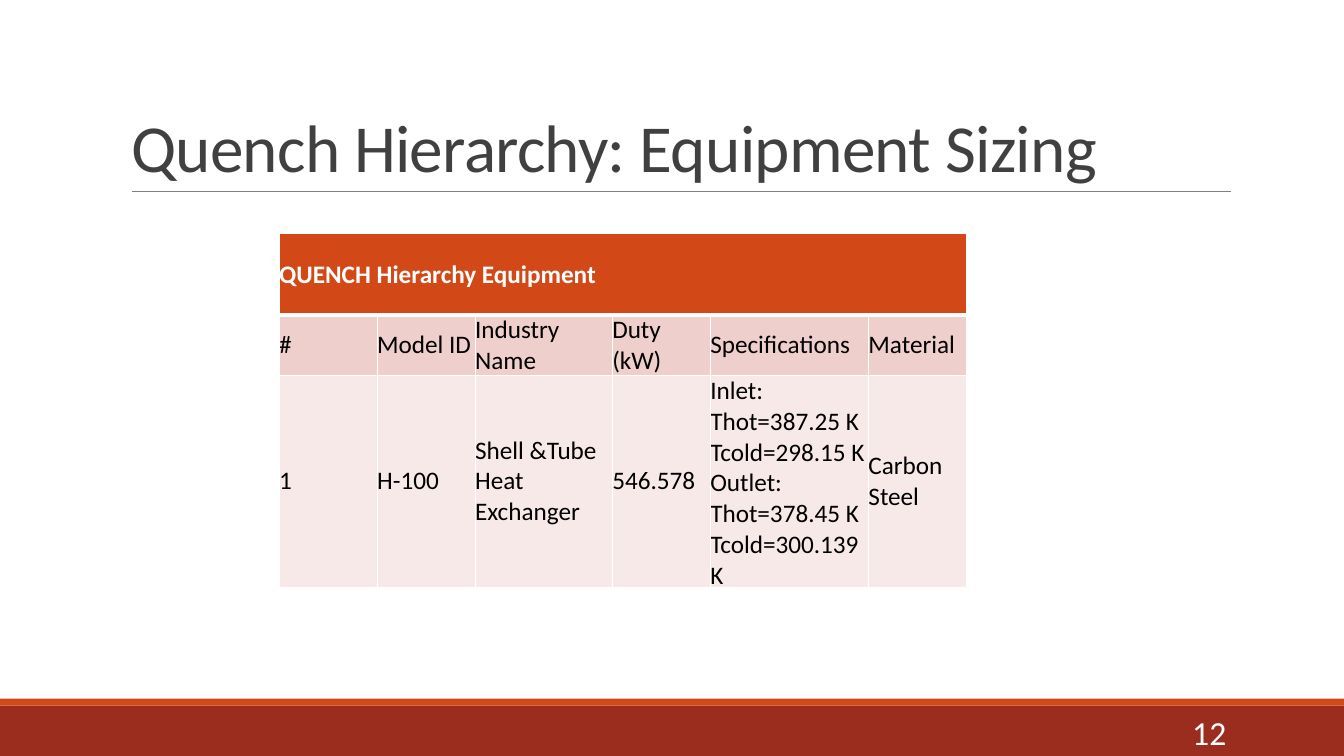
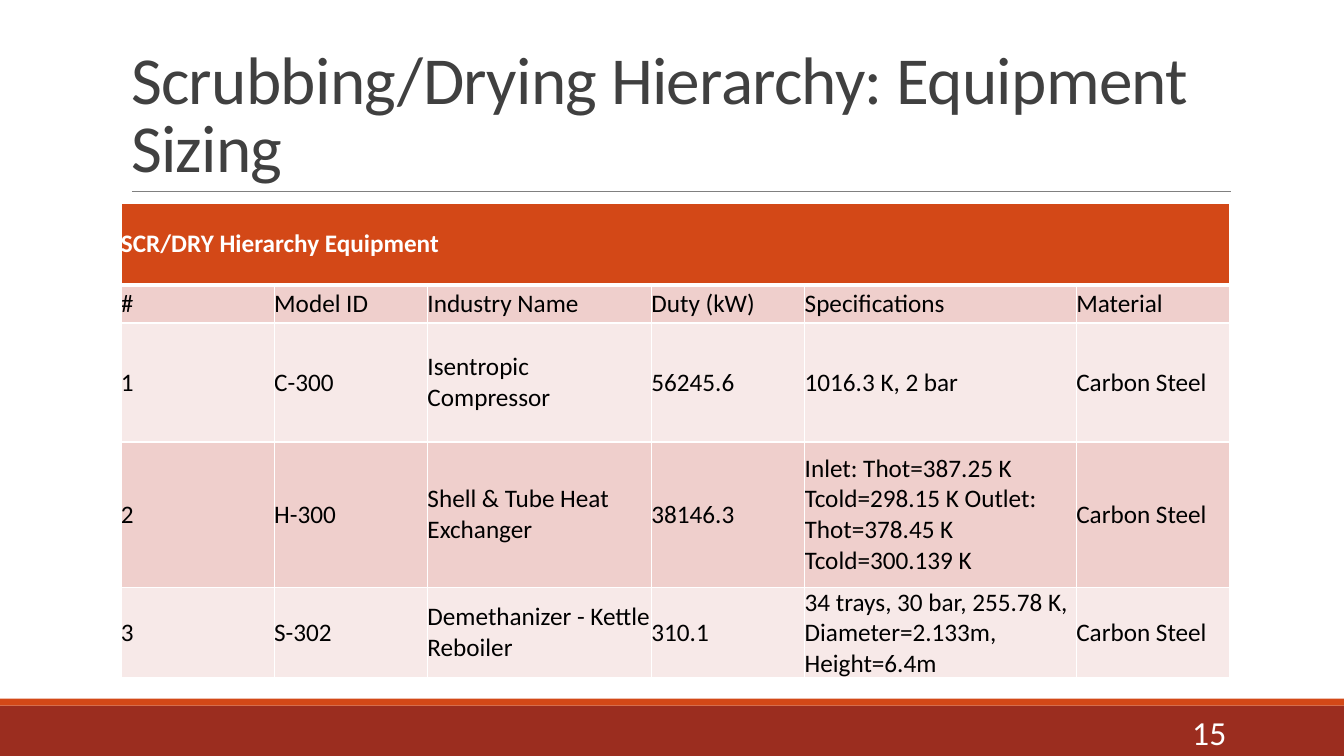
from lxml import etree
from pptx import Presentation
from pptx.dml.color import RGBColor
from pptx.enum import shapes, text
from pptx.oxml import ns
from pptx.util import Pt

FONT = "Calibri"
WHITE, BLACK, GREY, RULE = "FFFFFF", "000000", "404040", "808080"
ORANGE, RED = "D34817", "9B2D1F"
BANDS = ("F7E9E8", "EFCFCC")
WIDE, HIGH = 960, 540
LEFT, SPAN = 86.4, 792
HEADS = ["#", "Model ID", "Industry Name", "Duty (kW)", "Specifications", "Material"]
FLOWS = "Inlet: Thot=387.25 K Tcold=298.15 K Outlet: Thot=378.45 K Tcold=300.139 K"
STEEL = "Carbon Steel"


def color(code):
    return RGBColor.from_string(code)


def style(para, size, code, bold=False):
    font = para.font
    font.name, font.size, font.bold = FONT, Pt(size), bold
    font.color.rgb = color(code)


def add_band(slide, top, high, code):
    band = slide.shapes.add_shape(
        shapes.MSO_SHAPE.RECTANGLE, 0, Pt(top), Pt(WIDE), Pt(high))
    band.shadow.inherit = False
    band.fill.solid()
    band.fill.fore_color.rgb = color(code)
    band.line.fill.background()


def add_rule(slide, left, right, top):
    rule = slide.shapes.add_connector(
        shapes.MSO_CONNECTOR.STRAIGHT, Pt(left), Pt(top), Pt(right), Pt(top))
    rule.line.color.rgb = color(RULE)
    rule.line.width = Pt(0.5)
    etree.SubElement(rule._element.spPr, ns.qn("a:effectLst"))


def set_title(slide, words):
    title = slide.shapes.title
    title.left, title.top = Pt(LEFT), Pt(22.3)
    title.width, title.height = Pt(SPAN), Pt(114.5)
    frame = title.text_frame
    frame.text = words
    frame.auto_size = text.MSO_AUTO_SIZE.NONE
    frame.vertical_anchor = text.MSO_ANCHOR.BOTTOM
    para = frame.paragraphs[0]
    para.alignment = text.PP_ALIGN.LEFT
    para.line_spacing = 0.85
    style(para, 48, GREY)
    para.runs[0]._r.get_or_add_rPr().set("spc", "-50")


def add_number(slide, number):
    box = slide.shapes.add_textbox(Pt(780), Pt(508.3), Pt(103), Pt(28.8))
    frame = box.text_frame
    frame.word_wrap = True
    frame.vertical_anchor = text.MSO_ANCHOR.MIDDLE
    frame.text = str(number)
    para = frame.paragraphs[0]
    para.alignment = text.PP_ALIGN.RIGHT
    style(para, 24, WHITE)


def add_slide(deck, title, number):
    """Add a slide with the shared bands, title, rule and page number."""
    slide = deck.slides.add_slide(deck.slide_layouts[5])
    add_band(slide, 504, 36, RED)
    add_band(slide, 499, 5, ORANGE)
    add_rule(slide, 94.3, 879.1, 136.8)
    set_title(slide, title)
    add_number(slide, number)
    return slide


def set_edges(cell, top, bottom):
    """Draw white cell borders, with the top and bottom widths in points."""
    props = cell._tc.get_or_add_tcPr()
    for side, width in (("L", 1), ("R", 1), ("T", top), ("B", bottom)):
        edge = etree.SubElement(props, ns.qn(f"a:ln{side}"), w=str(Pt(width)))
        fill = etree.SubElement(edge, ns.qn("a:solidFill"))
        etree.SubElement(fill, ns.qn("a:srgbClr"), val=WHITE)


def fill_cell(cell, words, row):
    head = row == 0
    set_edges(cell, 3 if row == 1 else 1, 3 if head else 1)
    cell.fill.solid()
    cell.fill.fore_color.rgb = color(ORANGE if head else BANDS[row % 2])
    cell.margin_left = cell.margin_right = cell.margin_top = cell.margin_bottom = 0
    cell.vertical_anchor = text.MSO_ANCHOR.MIDDLE
    cell.text = words
    style(cell.text_frame.paragraphs[0], 18, WHITE if head else BLACK, head)


def add_grid(slide, left, top, cols, highs, name, items):
    """Add an equipment table: a merged name row, the heads, then the items."""
    rows = [[name] + [""] * (len(HEADS) - 1), HEADS, *items]
    grid = slide.shapes.add_table(
        len(rows), len(cols), Pt(left), Pt(top), Pt(sum(cols)), Pt(sum(highs))).table
    grid.first_row = grid.horz_banding = False
    for col, width in zip(grid.columns, cols):
        col.width = Pt(width)
    for row, high in zip(grid.rows, highs):
        row.height = Pt(high)
    for r, row in enumerate(rows):
        for c, words in enumerate(row):
            fill_cell(grid.cell(r, c), words, 1 if r == 1 else r)
    grid.cell(0, 0).merge(grid.cell(0, len(cols) - 1))


def main():
    deck = Presentation()
    deck.slide_width, deck.slide_height = Pt(WIDE), Pt(HIGH)

    quench = add_slide(deck, "Quench Hierarchy: Equipment Sizing", 12)
    add_grid(quench, 199.4, 167, [70, 70, 98, 70, 113, 70], [58, 27.4, 85],
             "QUENCH Hierarchy Equipment",
             [["1", "H-100", "Shell &Tube Heat Exchanger", "546.578", FLOWS, STEEL]])

    scrub = add_slide(deck, "Scrubbing/Drying Hierarchy: Equipment Sizing", 15)
    add_grid(scrub, LEFT, 145.4, [109.5, 109.5, 160, 109.5, 194, 109.5],
             [58, 27.4, 85, 103.7, 61.2], "SCR/DRY Hierarchy Equipment",
             [["1", "C-300", "Isentropic Compressor", "56245.6", "1016.3 K, 2 bar", STEEL],
              ["2", "H-300", "Shell & Tube Heat Exchanger", "38146.3", FLOWS, STEEL],
              ["3", "S-302", "Demethanizer - Kettle Reboiler", "310.1",
               "34 trays, 30 bar, 255.78 K, Diameter=2.133m, Height=6.4m", STEEL]])

    deck.save("out.pptx")


if __name__ == "__main__":
    main()
